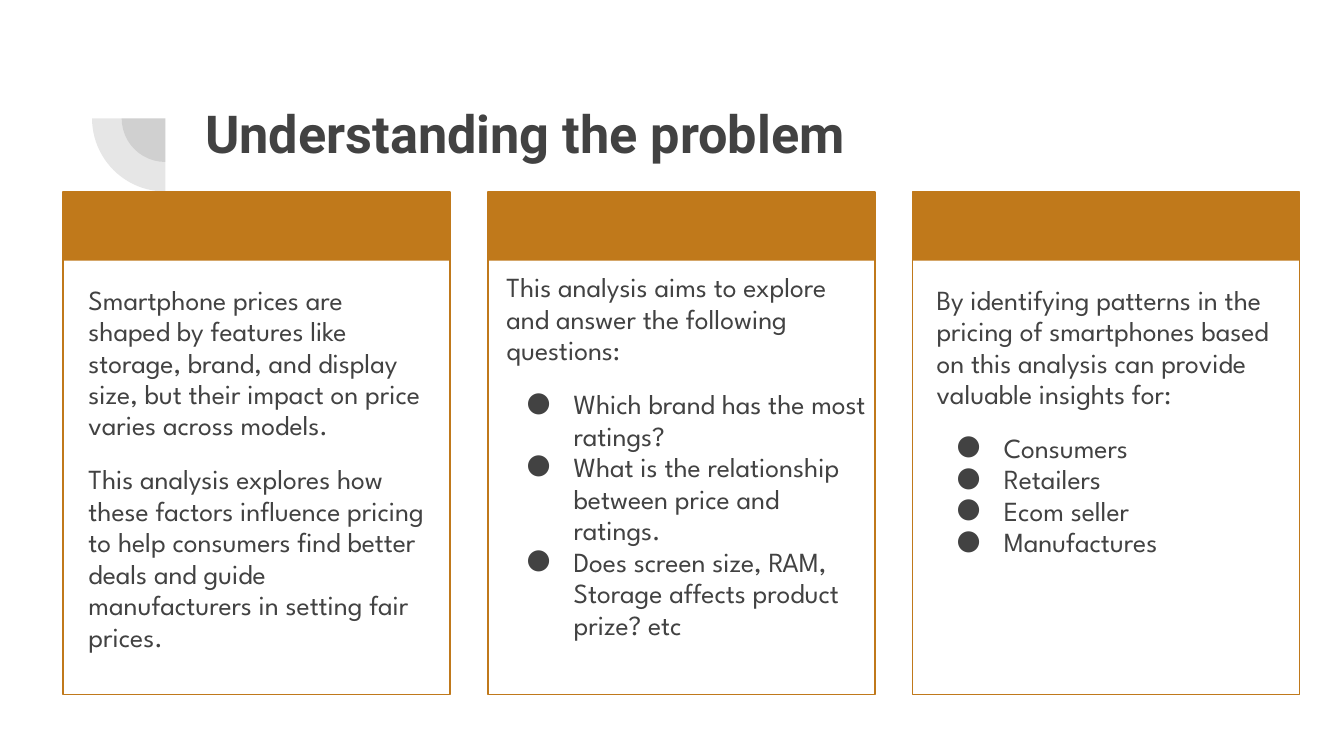
from dataclasses import dataclass

from lxml import etree
from pptx import Presentation
from pptx import util as u
from pptx.dml.color import RGBColor
from pptx.enum import shapes, text
from pptx.oxml.ns import qn


@dataclass(frozen=True)
class Theme:
    ink: RGBColor = RGBColor(0x42, 0x42, 0x42)
    accent: RGBColor = RGBColor(0xC0, 0x79, 0x1B)
    title_font: str = "Roboto"
    body_font: str = "League Spartan"
    title_size: float = 28
    body_size: float = 14.8
    outline: float = 0.75
    line_spacing: float = 0.95
    gap: float = 12


THEME = Theme()
GRID_LEFT, GRID_TOP, COLUMN_STEP = 0.47, 1.43, 3.16
CARD_WIDTH, CARD_HEIGHT, BAND_HEIGHT = 2.88, 3.74, 0.51
BODY_HEIGHT = 3.06
ARC_CENTER = (1.23, 0.88)
ARC_SIZES = (0.65, 1.09)

CARDS = [
    dict(
        inset=(0.09, 0.59), width=2.71,
        intro=[
            "Smartphone prices are shaped by features like storage, brand, "
            "and display size, but their impact on price varies across models.",
            "This analysis explores how these factors influence pricing to help "
            "consumers find better deals and guide manufacturers in setting fair prices.",
        ],
        bullets=[],
    ),
    dict(
        inset=(0.04, 0.5), width=2.88,
        intro=["This analysis aims to explore and answer the following questions:"],
        bullets=[
            "Which brand has the most ratings?",
            "What is the relationship between price and ratings.",
            "Does screen size, RAM, Storage affects product prize? etc",
        ],
    ),
    dict(
        inset=(0.08, 0.59), width=2.71,
        intro=["By identifying patterns in the pricing of smartphones based on "
               "this analysis can provide valuable insights for:"],
        bullets=["Consumers", "Retailers", "Ecom seller", "Manufactures"],
    ),
]


def add_plain_shape(page, kind, left, top, width, height, fill=None, line=None):
    shape = page.shapes.add_shape(
        kind, *(u.Inches(length) for length in (left, top, width, height)))
    shape.shadow.inherit = False
    if fill is None:
        shape.fill.background()
    else:
        shape.fill.solid()
        shape.fill.fore_color.rgb = fill
    if line is None:
        shape.line.fill.background()
    else:
        shape.line.color.rgb = line
        shape.line.width = u.Pt(THEME.outline)
    return shape


def add_quarter_disc(page, size):
    left, top = (center - size / 2 for center in ARC_CENTER)
    disc = add_plain_shape(page, shapes.MSO_SHAPE.PIE, left, top, size, size, THEME.ink)
    disc.adjustments[0], disc.adjustments[1] = 108, 162
    disc.rotation = 270
    color = disc.fill._xPr.find(qn("a:solidFill"))[0]
    etree.SubElement(color, qn("a:alpha"), val="13000")


def add_text_frame(page, left, top, width, height):
    box = page.shapes.add_textbox(
        *(u.Inches(length) for length in (left, top, width, height)))
    frame = box.text_frame
    frame.word_wrap = True
    frame.vertical_anchor = text.MSO_ANCHOR.TOP
    frame.margin_left = frame.margin_right = u.Inches(0.1)
    frame.margin_top = frame.margin_bottom = u.Inches(0.1)
    return frame


def write(para, words, font, size, bold=False):
    para.text = words
    para.font.name = font
    para.font.size = u.Pt(size)
    para.font.bold = bold
    para.font.color.rgb = THEME.ink


def add_bullet(para):
    properties = para._p.get_or_add_pPr()
    properties.set("marL", str(u.Inches(0.5)))
    properties.set("indent", str(u.Inches(-0.35)))
    defaults = properties.find(qn("a:defRPr"))
    defaults.addprevious(etree.Element(qn("a:buFont"), typeface=THEME.body_font))
    defaults.addprevious(etree.Element(qn("a:buChar"), char="●"))


def add_title(page, words):
    frame = add_text_frame(page, 1.43, 0.65, 7.69, 1.09)
    write(frame.paragraphs[0], words, THEME.title_font, THEME.title_size, True)


def add_card(page, column, inset, width, intro, bullets):
    left = GRID_LEFT + column * COLUMN_STEP
    rectangle = shapes.MSO_SHAPE.RECTANGLE
    add_plain_shape(page, rectangle, left, GRID_TOP, CARD_WIDTH, BAND_HEIGHT,
                    fill=THEME.accent)
    add_plain_shape(page, rectangle, left, GRID_TOP, CARD_WIDTH, CARD_HEIGHT,
                    line=THEME.accent)
    frame = add_text_frame(page, left + inset[0], GRID_TOP + inset[1], width, BODY_HEIGHT)
    for index, words in enumerate(intro + bullets):
        para = frame.add_paragraph() if index else frame.paragraphs[0]
        write(para, words, THEME.body_font, THEME.body_size)
        para.line_spacing = THEME.line_spacing
        para.space_before = u.Pt(THEME.gap if index == 1 else 0)
        if index >= len(intro):
            add_bullet(para)


def main():
    deck = Presentation()
    deck.slide_width = u.Inches(10)
    deck.slide_height = deck.slide_width * 9 // 16
    page = deck.slides.add_slide(deck.slide_layouts[6])
    for size in ARC_SIZES:
        add_quarter_disc(page, size)
    add_title(page, "Understanding the problem")
    for column, card in enumerate(CARDS):
        add_card(page, column, **card)
    deck.save("out.pptx")


if __name__ == "__main__":
    main()
